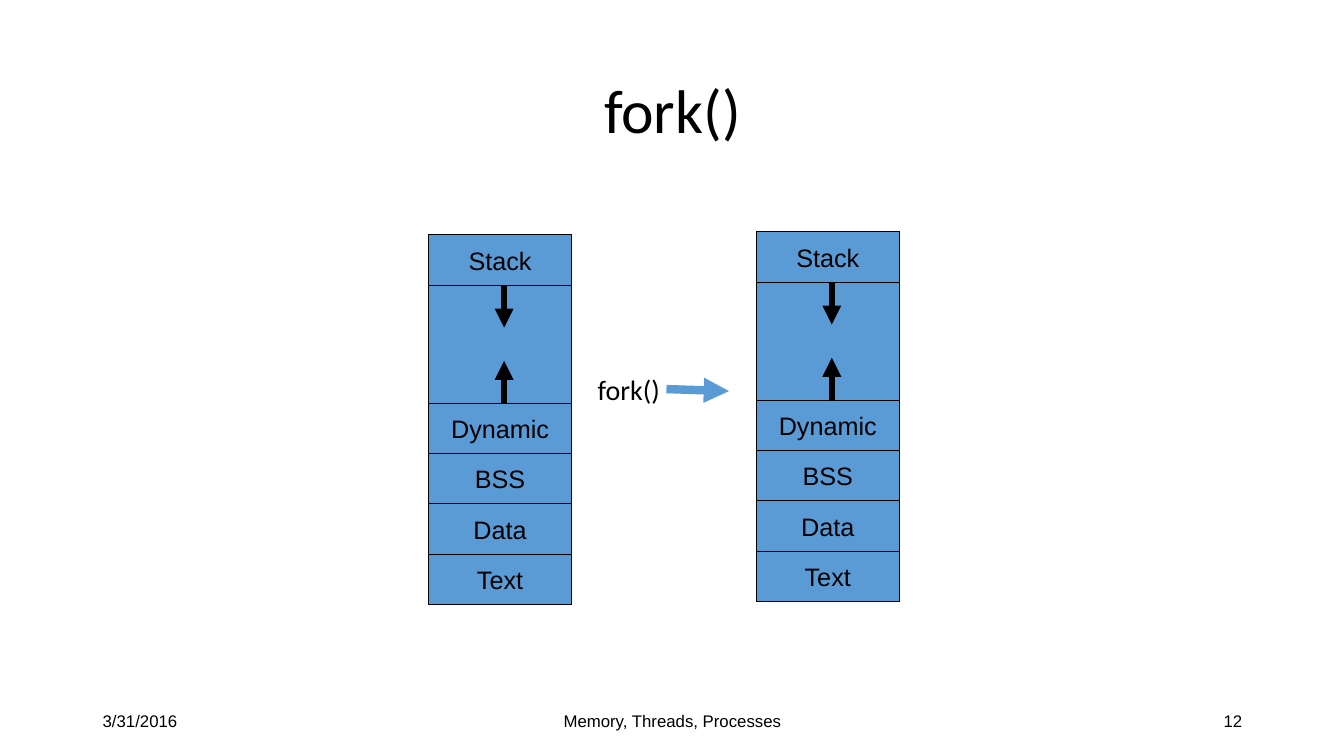
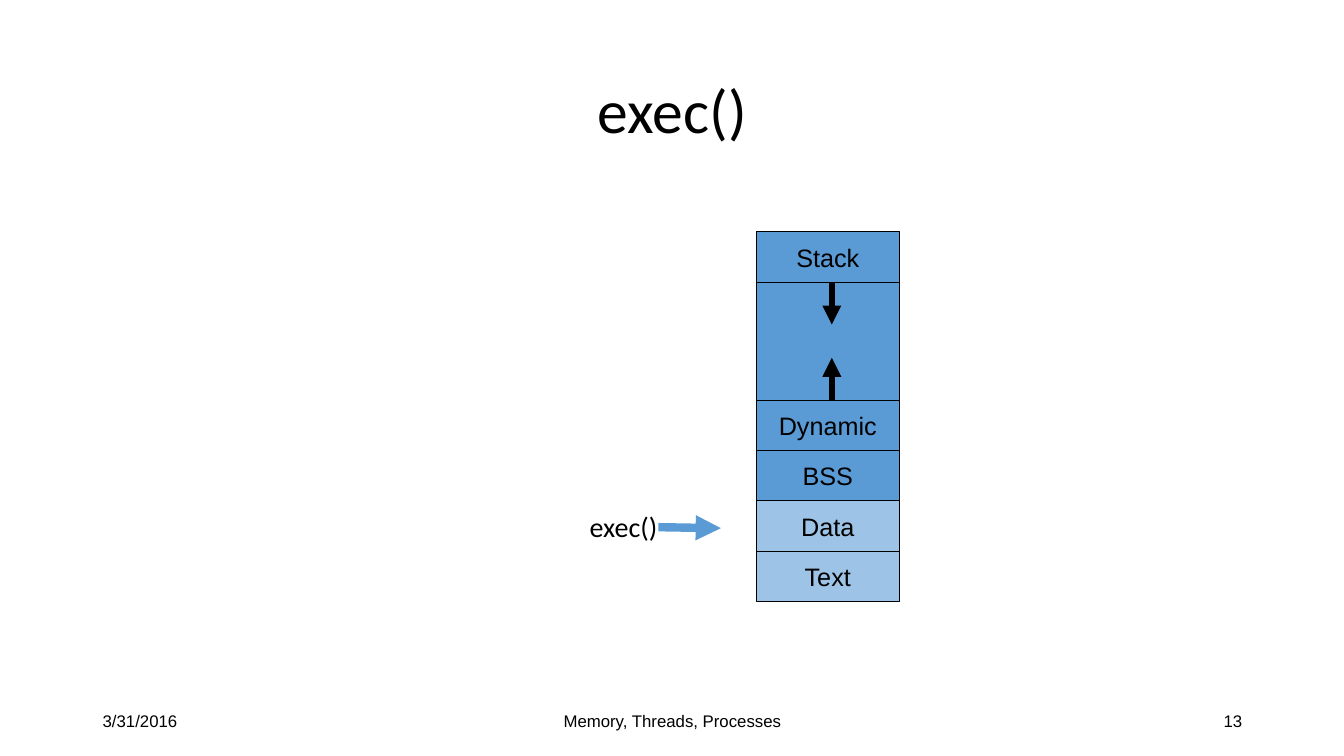
from pptx import Presentation
from pptx.dml.color import RGBColor
from pptx.enum.shapes import MSO_CONNECTOR as Link, MSO_SHAPE as Shape
from pptx.enum.text import MSO_ANCHOR as Anchor, MSO_AUTO_SIZE as Fit, PP_ALIGN as Align
from pptx.oxml.ns import qn
from pptx.util import Inches, Pt
from lxml.etree import SubElement

BLACK = RGBColor(0x00, 0x00, 0x00)
BLUE = RGBColor(0x5B, 0x9B, 0xD5)
PALE = RGBColor(0x9D, 0xC3, 0xE6)

BODY = "Arial"
HEAD = "Calibri"
FOOT = "Memory, Threads, Processes"
DATE = "3/31/2016"

WIDE = 1.42
ROW = 0.5
GAP = 1.17
REACH = 0.42
BANDS = [("Stack", ROW), ("", GAP), ("Dynamic", ROW),
         ("BSS", ROW), ("Data", ROW), ("Text", ROW)]


class Deck:
    def __init__(self):
        self.prs = Presentation()
        self.prs.slide_width = Inches(13.33)
        self.prs.slide_height = Inches(7.5)
        self.slide = None

    def page(self, title, number):
        self.slide = self.prs.slides.add_slide(self.prs.slide_layouts[6])
        feet = [(0.92, 3, DATE, Align.LEFT),
                (4.42, 4.5, FOOT, Align.CENTER),
                (9.42, 3, str(number), Align.RIGHT)]
        for left, width, text, align in feet:
            self.label(text, left, 6.95, width, 0.4, 12, BODY, align)
        frame = self.label(title, 0.92, 0.4, 11.5, 1.45, 44, HEAD, Align.CENTER)
        frame.paragraphs[0].line_spacing = 0.9

    def fill_text(self, frame, text, size, font, align):
        frame.text = text
        para = frame.paragraphs[0]
        para.alignment = align
        face = para.runs[0].font
        face.size = Pt(size)
        face.name = font
        face.color.rgb = BLACK

    def label(self, text, left, top, width, height, size, font, align):
        box = self.slide.shapes.add_textbox(
            Inches(left), Inches(top), Inches(width), Inches(height))
        frame = box.text_frame
        frame.word_wrap = True
        frame.vertical_anchor = Anchor.MIDDLE
        self.fill_text(frame, text, size, font, align)
        return frame

    def band(self, text, left, top, height, fill):
        box = self.slide.shapes.add_shape(
            Shape.RECTANGLE, Inches(left), Inches(top), Inches(WIDE), Inches(height))
        box.shadow.inherit = False
        box.fill.solid()
        box.fill.fore_color.rgb = fill
        box.line.color.rgb = BLACK
        box.line.width = Pt(0.75)
        if text:
            frame = box.text_frame
            frame.word_wrap = False
            frame.vertical_anchor = Anchor.MIDDLE
            self.fill_text(frame, text, 18, BODY, Align.CENTER)

    def arrow(self, start, end, color, width):
        line = self.slide.shapes.add_connector(
            Link.STRAIGHT, *(Inches(n) for n in (*start, *end)))
        line.line.color.rgb = color
        line.line.width = Pt(width)
        props = line._element.spPr
        SubElement(props.find(qn("a:ln")), qn("a:tailEnd"), type="triangle")
        SubElement(props, qn("a:effectLst"))

    def stack(self, left, top, fresh=()):
        y = top
        for text, height in BANDS:
            self.band(text, left, y, height, PALE if text in fresh else BLUE)
            y += height
        mid = left + 0.75
        upper = top + ROW
        lower = upper + GAP
        self.arrow((mid, lower), (mid, lower - REACH), BLACK, 4.5)
        self.arrow((mid, upper), (mid, upper + REACH), BLACK, 4.5)

    def cue(self, text, left, top, width, start, end):
        frame = self.label(text, left, top, width, 0.44, 20, HEAD, Align.LEFT)
        frame.vertical_anchor = Anchor.TOP
        frame.word_wrap = False
        frame.auto_size = Fit.SHAPE_TO_FIT_TEXT
        self.arrow(start, end, BLUE, 6)


def main():
    deck = Deck()

    deck.page("fork()", 12)
    deck.stack(4.25, 2.33)
    deck.stack(7.5, 2.3)
    deck.cue("fork()", 5.83, 3.65, 0.83, (6.61, 3.86), (7.23, 3.88))

    deck.page("exec()", 13)
    deck.stack(7.5, 2.3, fresh=("Data", "Text"))
    deck.cue("exec()", 5.75, 5.01, 0.88, (6.53, 5.23), (7.15, 5.24))

    deck.prs.save("out.pptx")


if __name__ == "__main__":
    main()
